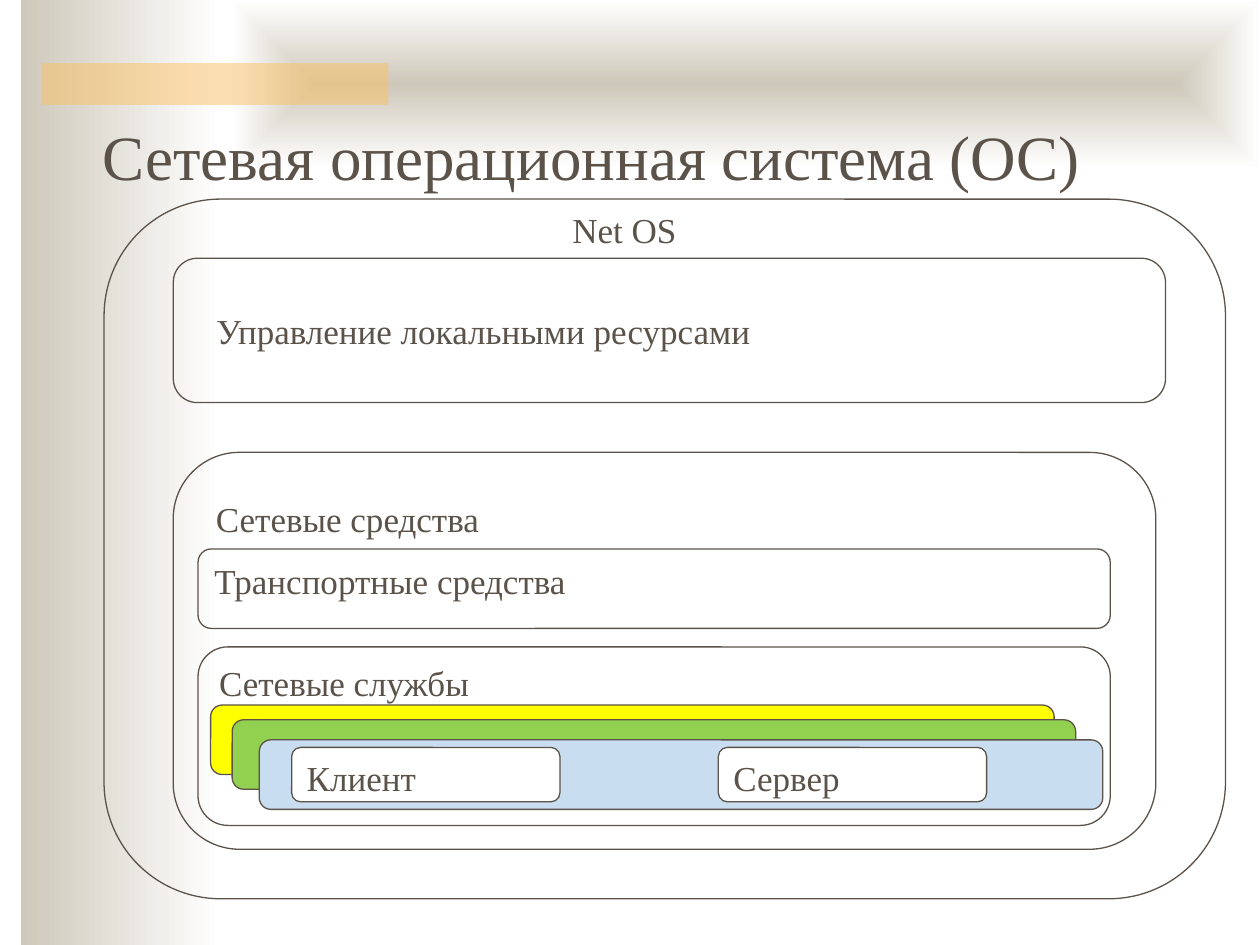
import pptx
import pptx.dml.color
import pptx.enum.shapes
import pptx.enum.text
import pptx.oxml.ns
import pptx.util
from lxml import etree

Pt = pptx.util.Pt
qn = pptx.oxml.ns.qn
SHAPE = pptx.enum.shapes.MSO_SHAPE
ANCHOR = pptx.enum.text.MSO_ANCHOR
FONT = "Times New Roman"
INK = "5B5249"
SAND = "CEC8BA"


def color(value):
    return pptx.dml.color.RGBColor.from_string(value)


def write(frame, text, size, anchor=ANCHOR.TOP):
    frame.word_wrap = True
    frame.vertical_anchor = anchor
    paragraph = frame.paragraphs[0]
    paragraph.alignment = pptx.enum.text.PP_ALIGN.LEFT
    paragraph.space_before = Pt(0)
    run = paragraph.add_run()
    run.text = text
    run.font.size = Pt(size)
    run.font.name = FONT
    run.font.color.rgb = color(INK)


def add_plain_shape(slide, kind, box):
    shape = slide.shapes.add_shape(kind, *map(Pt, box))
    shape.shadow.inherit = False
    shape.line.fill.background()
    return shape


def add_fade(slide, box):
    """Rectangle fading from sand to white, left to right."""
    fade = add_plain_shape(slide, SHAPE.RECTANGLE, box)
    fade.fill.gradient()
    fade.fill.gradient_angle = 0
    for stop, value in zip(fade.fill.gradient_stops, (SAND, "FFFFFF")):
        stop.color.rgb = color(value)
    return fade


def fade_from_center(fade):
    gradient = fade._element.spPr.find(qn("a:gradFill"))
    linear = gradient.find(qn("a:lin"))
    outward = etree.Element(qn("a:path"), path="shape")
    etree.SubElement(outward, qn("a:fillToRect"),
                     l="50000", t="50000", r="50000", b="50000")
    gradient.replace(linear, outward)


def add_backdrop(slide, box):
    left, top, width, height = box
    add_fade(slide, (left + 12, top, 114, height))
    fade_from_center(add_fade(slide, (left + 132, top, width - 132, 96)))
    accent = add_plain_shape(slide, SHAPE.RECTANGLE, (left + 24, top + 36, 198, 24))
    accent.fill.solid()
    accent.fill.fore_color.rgb = color("FAC164")
    tint = accent._element.spPr.find(qn("a:solidFill"))[0]
    etree.SubElement(tint, qn("a:alpha"), val="50000")


def place_title(slide, box):
    title = slide.shapes.title
    title.left, title.top, title.width, title.height = map(Pt, box)
    write(title.text_frame, "Сетевая операционная система (ОС)", 36, ANCHOR.MIDDLE)
    # The title has to stand in front of the backdrop.
    slide.shapes._spTree.append(title._element)


def add_label(slide, text, box):
    label = slide.shapes.add_textbox(*map(Pt, box))
    write(label.text_frame, text, 20)


def add_block(slide, box, text=None, fill=None):
    block = add_plain_shape(slide, SHAPE.ROUNDED_RECTANGLE, box)
    block.line.color.rgb = color(INK)
    block.line.width = Pt(0.75)
    if fill:
        block.fill.solid()
        block.fill.fore_color.rgb = color(fill)
    else:
        block.fill.background()
    if text:
        block.text_frame.margin_bottom = 0
        write(block.text_frame, text, 20)


def add_services(slide, box):
    """Network services: a stack of cards, the front one with client and server."""
    left, top, width, height = box
    add_block(slide, box, "Сетевые службы")
    cards = ((7.2, 33.2, "FFFF00"), (19.5, 41.6, "92D050"), (35, 53.1, "C9DDF1"))
    for dx, dy, fill in cards:
        add_block(slide, (left + dx, top + dy, 482, 39.7), fill=fill)
    for column, role in enumerate(("Клиент", "Сервер")):
        role_left = left + 53.5 + column * 243.8
        add_block(slide, (role_left, top + 57.4, 153.3, 31.1), role, "FFFFFF")


def add_network_tools(slide, box):
    left, top, width, height = box
    add_block(slide, box)
    add_label(slide, "Сетевые средства", (left + 17.3, top + 22.5, 168, 31.5))
    inner_left, inner_width = left + 14.2, 521.3
    add_block(slide, (inner_left, top + 55.2, inner_width, 45.4), "Транспортные средства")
    add_services(slide, (inner_left, top + 111.2, inner_width, 102))


def add_net_os(slide, box):
    left, top, width, height = box
    add_label(slide, "Net OS", (left + 260.5, top + 2, 119, 31.5))
    add_block(slide, box)
    add_block(slide, (left + 39.5, top + 33.8, 567, 82.5))
    add_label(slide, "Управление локальными ресурсами",
              (left + 57, top + 59.5, 326, 31.5))
    add_network_tools(slide, (left + 39.5, top + 144.7, 561.5, 226.8))


def main():
    deck = pptx.Presentation()
    deck.slide_width, deck.slide_height = Pt(720), Pt(540)
    slide = deck.slides.add_slide(deck.slide_layouts.get_by_name("Title Only"))
    add_backdrop(slide, (0, 0, 720, 540))
    place_title(slide, (51.5, 63.4, 584, 51))
    add_net_os(slide, (59.5, 113.8, 640.8, 399.8))
    deck.save("out.pptx")


if __name__ == "__main__":
    main()
